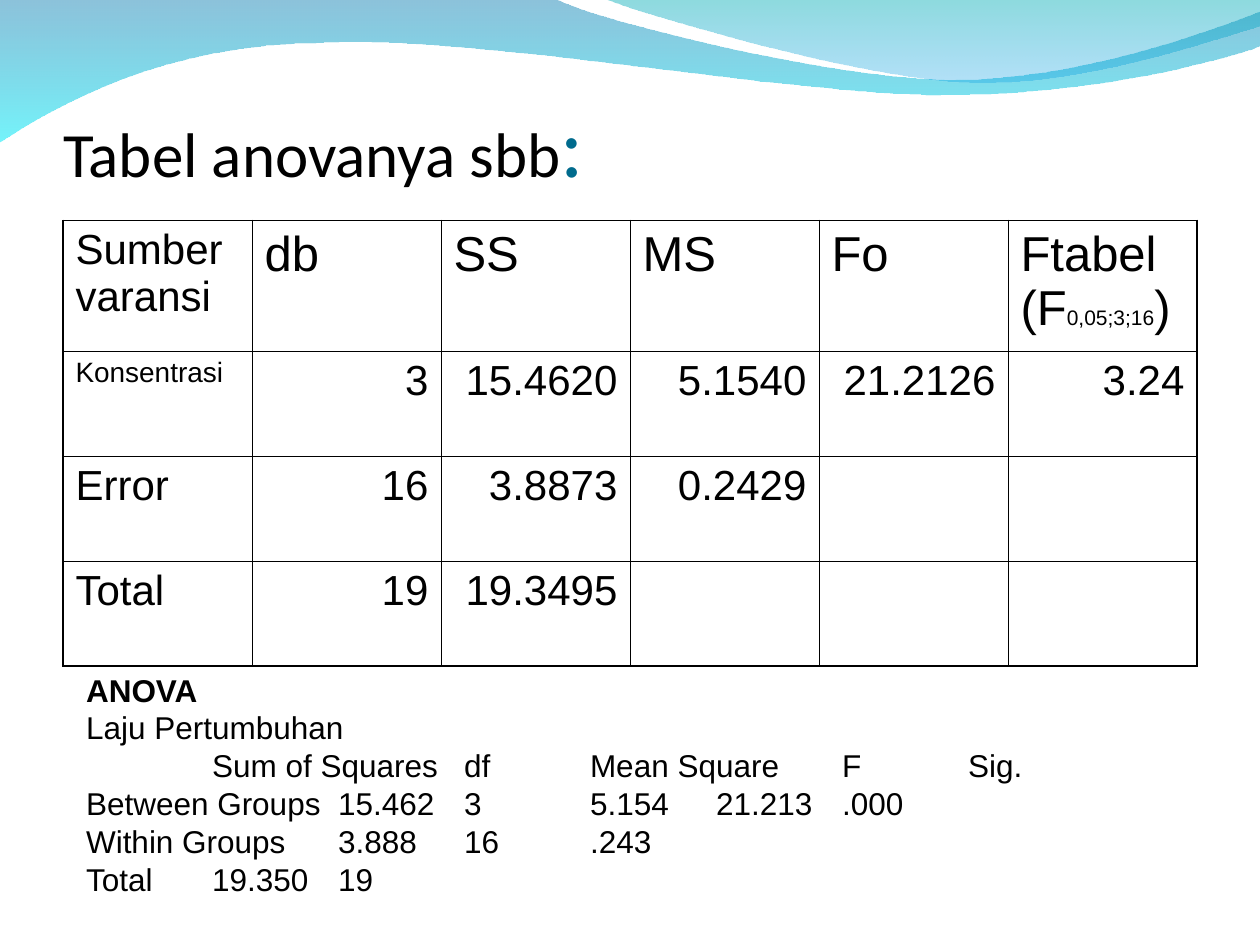
from dataclasses import dataclass

from lxml.etree import SubElement as Sub
from pptx import Presentation
from pptx.dml.color import RGBColor as RGB
from pptx.enum.text import MSO_ANCHOR as Anchor, MSO_AUTO_SIZE as Fit, PP_ALIGN as Align
from pptx.oxml.ns import qn
from pptx.util import Emu, Inches, Pt

COLS, ROWS = 20, 30


@dataclass(frozen=True)
class Theme:
    ink: str = "000000"
    accent: str = "006B8D"
    deep_wave: tuple = (("0079AF", 45), ("00EBF8", 55))
    light_wave: tuple = (("00ADB6", 45), ("009BE5", 30))
    head_font: str = "Calibri"
    body_font: str = "Arial"
    title: int = 36
    colon: int = 50
    head: int = 28
    cell: int = 24
    label: int = 16
    index: int = 12
    body: int = 18
    outer: float = 1.08
    inner: float = 0.45


def add_run(p, text, *, size, font, color, bold=False):
    r = p.add_run()
    r.text = text
    r.font.size, r.font.name, r.font.bold = Pt(size), font, bold
    r.font.color.rgb = RGB.from_string(color)


class Deck:
    def __init__(self, theme):
        self.theme = theme
        self.prs = Presentation()
        self.prs.slide_width, self.prs.slide_height = Inches(10), Inches(7.5)
        self.s = self.prs.slides.add_slide(self.prs.slide_layouts[5])

    def x(self, cols):
        return Emu(round(self.prs.slide_width * cols / COLS))

    def y(self, rows):
        return Emu(round(self.prs.slide_height * rows / ROWS))

    def box(self, left, top, width, height):
        return self.x(left), self.y(top), self.x(width), self.y(height)

    def wave(self, start, segments, stops):
        builder = self.s.shapes.build_freeform(self.x(start[0]), self.y(start[1]))
        ends = [seg[-1] for seg in segments]
        builder.add_line_segments([(self.x(x), self.y(y)) for x, y in ends], close=True)
        sp = builder.convert_to_shape()
        for line, (*controls, _) in zip(list(sp.element.iter(qn("a:lnTo"))), segments):
            if controls:
                line.tag = qn("a:cubicBezTo")
            for i, (x, y) in enumerate(controls):
                pt = Sub(line, qn("a:pt"), x=str(self.x(x) - sp.left), y=str(self.y(y) - sp.top))
                line.insert(i, pt)
        sp.shadow.inherit = False
        sp.line.fill.background()
        sp.fill.gradient()
        sp.fill.gradient_angle = 270
        for stop, (color, _) in zip(sp.fill.gradient_stops, stops):
            stop.color.rgb = RGB.from_string(color)
        for clr, (_, opacity) in zip(sp.element.spPr.iter(qn("a:srgbClr")), stops):
            Sub(clr, qn("a:alpha"), val=str(opacity * 1000))

    def title(self, text, mark, *area):
        th, sp = self.theme, self.s.shapes.title
        self.s.shapes.element.append(sp.element)
        sp.left, sp.top, sp.width, sp.height = self.box(*area)
        tf = sp.text_frame
        tf.auto_size, tf.vertical_anchor = Fit.NONE, Anchor.BOTTOM
        tf.margin_left = tf.margin_right = tf.margin_bottom = 0
        p = tf.paragraphs[0]
        p.alignment = Align.LEFT
        add_run(p, text, size=th.title, font=th.head_font, color=th.ink)
        add_run(p, mark, size=th.colon, font=th.head_font, color=th.accent)

    def border(self, cell, sides):
        tcPr = cell._tc.get_or_add_tcPr()
        for side, is_outer in sides.items():
            width = self.theme.outer if is_outer else self.theme.inner
            ln = Sub(tcPr, qn(f"a:ln{side}"), w=str(Pt(width)))
            Sub(Sub(ln, qn("a:solidFill")), qn("a:srgbClr"), val=self.theme.ink)

    def table(self, rows, heights, left, top, width):
        th, n, m = self.theme, len(rows), len(rows[0])
        frame = self.s.shapes.add_table(n, m, *self.box(left, top, width, sum(heights)))
        tbl = frame.table
        tbl.first_row = tbl.horz_banding = False
        for col in tbl.columns:
            col.width = self.x(width / m)
        for i, (row, height) in enumerate(zip(rows, heights)):
            tbl.rows[i].height = self.y(height)
            for j, runs in enumerate(row):
                cell = tbl.cell(i, j)
                self.border(cell, {"L": j == 0, "R": j == m - 1, "T": i == 0, "B": i == n - 1})
                cell.fill.background()
                p = cell.text_frame.paragraphs[0]
                p.alignment = Align.RIGHT if i and j else Align.LEFT
                for text, size in runs:
                    add_run(p, text, size=size, font=th.body_font, color=th.ink)

    def tabbed_text(self, lines, *area, inset):
        th = self.theme
        tf = self.s.shapes.add_textbox(*self.box(*area)).text_frame
        tf.word_wrap, tf.margin_top = True, self.y(inset)
        for i, line in enumerate(lines):
            p = tf.add_paragraph() if i else tf.paragraphs[0]
            tabs = Sub(p._p.get_or_add_pPr(), qn("a:tabLst"))
            for stop in range(1, 8):
                Sub(tabs, qn("a:tab"), pos=str(Inches(stop)), algn="l")
            add_run(p, line, size=th.body, font=th.body_font, color=th.ink, bold=i == 0)


def main():
    th = Theme()
    deck = Deck(th)
    deck.wave((0, -0.04), [
        [(8.8, -0.04)],
        [(9.52, 0.68), (13.28, 2.52), (15.16, 2.52)],
        [(17.06, 2.52), (19.16, 1.04), (20, 0.36)],
        [(20.02, 1.44)],
        [(19.66, 1.76), (17.4, 3.04), (14.92, 3)],
        [(12.44, 3), (7.64, 1.12), (5.14, 1.36)],
        [(2.58, 1.4), (0.92, 3.32), (-0.02, 4.52)],
    ], th.deep_wave)
    deck.wave((9.58, -0.04), [
        [(10.18, 0.44), (13.64, 2.48), (15.38, 2.6)],
        [(17.12, 2.76), (19.22, 1.28), (20, 0.84)],
        [(20, 0)],
    ], th.light_wave)
    deck.title("Tabel anovanya sbb", ":", 1, 1.2, 18, 5)

    header = [[("Sumber varansi", th.cell)]]
    header += [[(name, th.head)] for name in ("db", "SS", "MS", "Fo")]
    header.append([("Ftabel (F", th.head), ("0,05;3;16", th.index), (")", th.head)])
    data = [
        ("Konsentrasi", "3", "15.4620", "5.1540", "21.2126", "3.24"),
        ("Error", "16", "3.8873", "0.2429", "", ""),
        ("Total", "19", "19.3495", "", "", ""),
    ]
    body = [[[(v, th.label if v == "Konsentrasi" else th.cell)] if v else [] for v in row]
            for row in data]
    deck.table([header] + body, [4.15] + [3.33] * 3, 1, 7, 18)

    deck.tabbed_text([
        "ANOVA",
        "Laju Pertumbuhan",
        "\tSum of Squares\tdf\tMean Square\tF\tSig.",
        "Between Groups\t15.462\t3\t5.154\t21.213\t.000",
        "Within Groups\t3.888\t16\t.243",
        "Total\t19.350\t19",
    ], 1.17, 19.92, 18, 10, inset=1.37)
    deck.prs.save("out.pptx")


if __name__ == "__main__":
    main()
